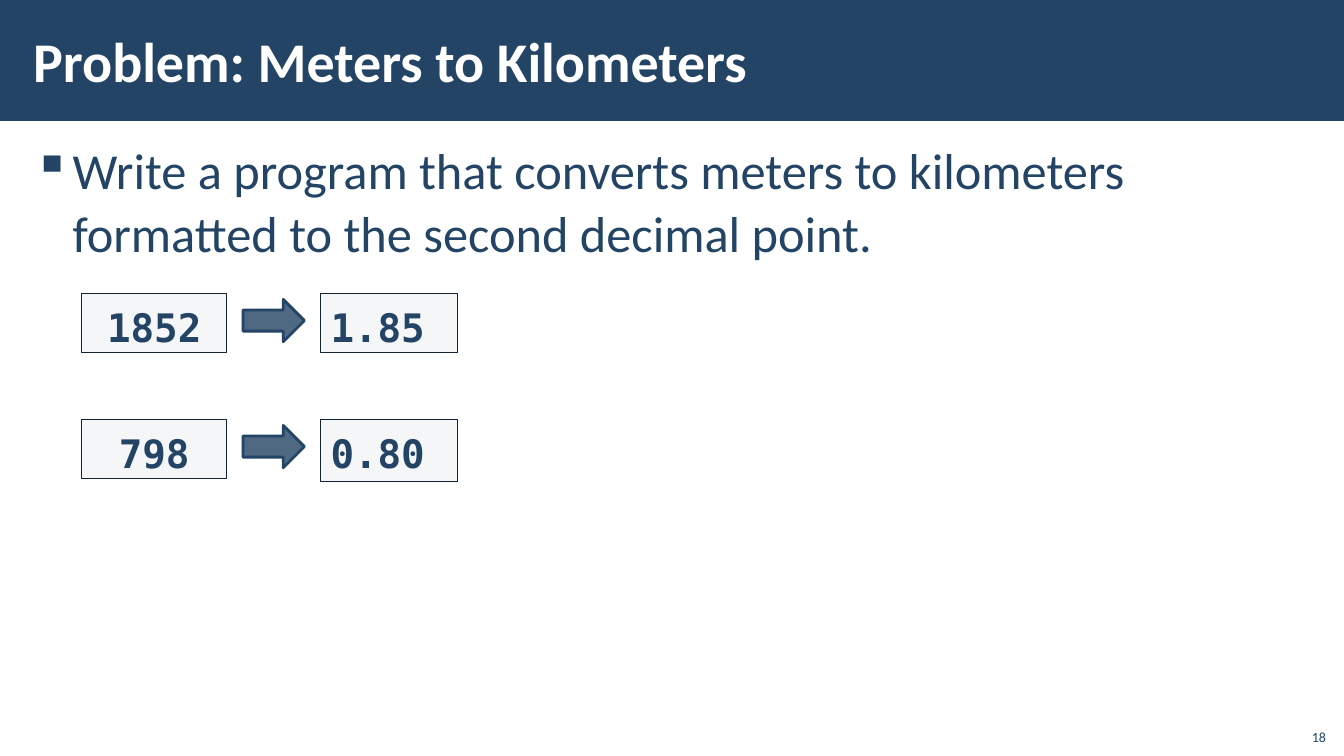
from dataclasses import dataclass

from lxml.etree import SubElement
from pptx import Presentation
from pptx.dml.color import RGBColor
from pptx.enum.shapes import MSO_SHAPE as Preset
from pptx.enum.text import MSO_ANCHOR as Anchor, MSO_AUTO_SIZE as AutoSize, PP_ALIGN as Align
from pptx.oxml.ns import qn
from pptx.util import Inches, Pt


@dataclass(frozen=True)
class Theme:
    navy: str = "234465"
    white: str = "FFFFFF"
    box: str = "C2C7D2"
    outline: str = "112233"
    text_font: str = "Calibri"
    code_font: str = "DejaVu Sans Mono"
    title_size: int = 40
    body_size: int = 36
    code_size: int = 28
    number_size: int = 10


THEME = Theme()
WIDTH, HEIGHT = 13.33, 7.5
MARGIN = 0.21
BANNER_HEIGHT = 0.16 * HEIGHT
INPUT_LEFT, ARROW_LEFT, OUTPUT_LEFT = 0.81, 2.41, 3.18
FIRST_ROW, ROW_STEP = 2.91, 1.25
BOX_HEIGHT = 0.59
# Input, output and height of the output box
EXAMPLES = [("1852", "1.85", BOX_HEIGHT), ("798", "0.80", 0.62)]


def inches(*lengths):
    return [Inches(length) for length in lengths]


def write(shape, text, size, color, font=THEME.text_font, bold=False, align=Align.LEFT):
    """Put one formatted paragraph into the shape and return it."""
    shape.text_frame.word_wrap = True
    paragraph = shape.text_frame.paragraphs[0]
    paragraph.text = text
    paragraph.alignment = align
    for run in paragraph.runs:
        run.font.name = font
        run.font.size = Pt(size)
        run.font.bold = bold
        run.font.color.rgb = RGBColor.from_string(color)
    return paragraph


def add_text(slide, area, text, size, color, anchor=Anchor.TOP, insets=(0.12, 0.04), **style):
    box = slide.shapes.add_textbox(*inches(*area))
    frame = box.text_frame
    frame.vertical_anchor = anchor
    frame.margin_left = frame.margin_right = Inches(insets[0])
    frame.margin_top = frame.margin_bottom = Inches(insets[1])
    return write(box, text, size, color, **style)


def add_filled(slide, preset, area, fill, opacity=100, line=None, line_width=1):
    """Add a preset shape; opacity is a percentage."""
    shape = slide.shapes.add_shape(preset, *inches(*area))
    shape.shadow.inherit = False
    shape.fill.solid()
    shape.fill.fore_color.rgb = RGBColor.from_string(fill)
    if opacity < 100:
        color = shape.fill._xPr.find(qn("a:solidFill"))[0]
        SubElement(color, qn("a:alpha"), val=str(opacity * 1000))
    if line:
        shape.line.color.rgb = RGBColor.from_string(line)
        shape.line.width = Pt(line_width)
    else:
        shape.line.fill.background()
    return shape


def add_bullet(paragraph, indent):
    properties = paragraph._p.get_or_add_pPr()
    properties.set("marL", str(Inches(indent)))
    properties.set("indent", str(-Inches(indent)))
    SubElement(properties, qn("a:buChar"), char="▪")


def add_value_box(slide, area, value, align):
    box = add_filled(slide, Preset.RECTANGLE, area, THEME.box, 15, THEME.outline)
    box.text_frame.vertical_anchor = Anchor.TOP
    paragraph = write(box, value, THEME.code_size, THEME.navy, THEME.code_font, True, align)
    paragraph.line_spacing = 1.1
    box.text_frame.auto_size = AutoSize.SHAPE_TO_FIT_TEXT


def add_example(slide, top, meters, kilometers, output_height):
    add_value_box(slide, (INPUT_LEFT, top, 1.44, BOX_HEIGHT), meters, Align.CENTER)
    add_filled(slide, Preset.RIGHT_ARROW, (ARROW_LEFT, top + 0.06, 0.61, 0.42),
               THEME.navy, 80, THEME.navy, 2)
    add_value_box(slide, (OUTPUT_LEFT, top, 1.36, output_height), kilometers, Align.LEFT)


def main():
    presentation = Presentation()
    presentation.slide_width, presentation.slide_height = inches(WIDTH, HEIGHT)
    slide = presentation.slides.add_slide(presentation.slide_layouts[6])

    add_filled(slide, Preset.RECTANGLE, (0, 0, WIDTH, BANNER_HEIGHT), THEME.navy)
    add_text(slide, (12.85, 7.12, 0.4, 0.32), "18", THEME.number_size, THEME.navy,
             Anchor.BOTTOM, (0.1, 0.05), align=Align.RIGHT)
    task = add_text(slide, (MARGIN, 1.31, WIDTH - 2 * MARGIN, 6.05),
                    "Write a program that converts meters to kilometers "
                    "formatted to the second decimal point.",
                    THEME.body_size, THEME.navy)
    task.line_spacing = 1.05
    task.space_before = task.space_after = Pt(6)
    add_bullet(task, 0.39)
    add_text(slide, (MARGIN, 0.11, 10.63, 0.97), "Problem: Meters to Kilometers",
             THEME.title_size, THEME.white, Anchor.MIDDLE, bold=True)

    for row, example in enumerate(EXAMPLES):
        add_example(slide, FIRST_ROW + row * ROW_STEP, *example)

    presentation.save("out.pptx")


if __name__ == "__main__":
    main()
